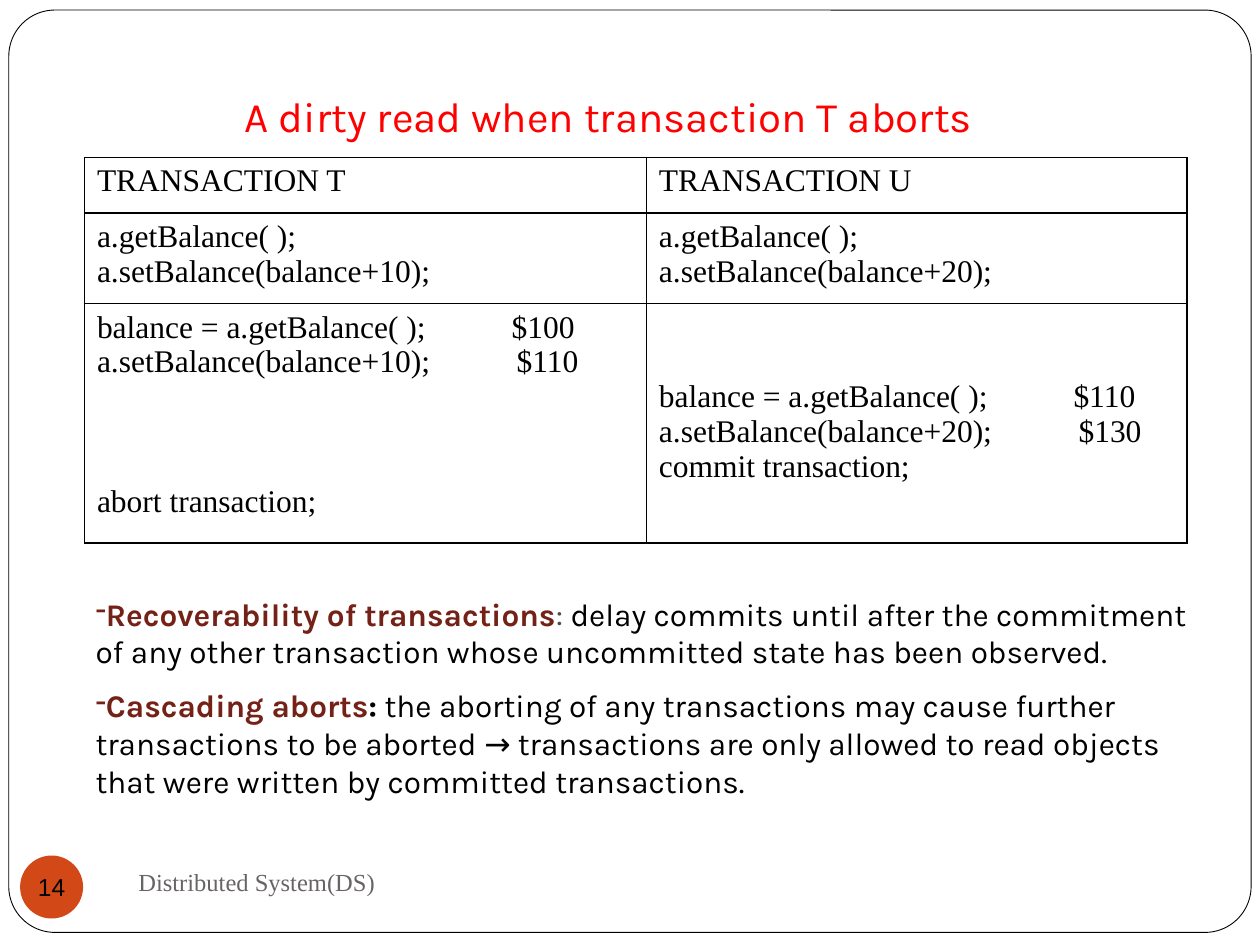
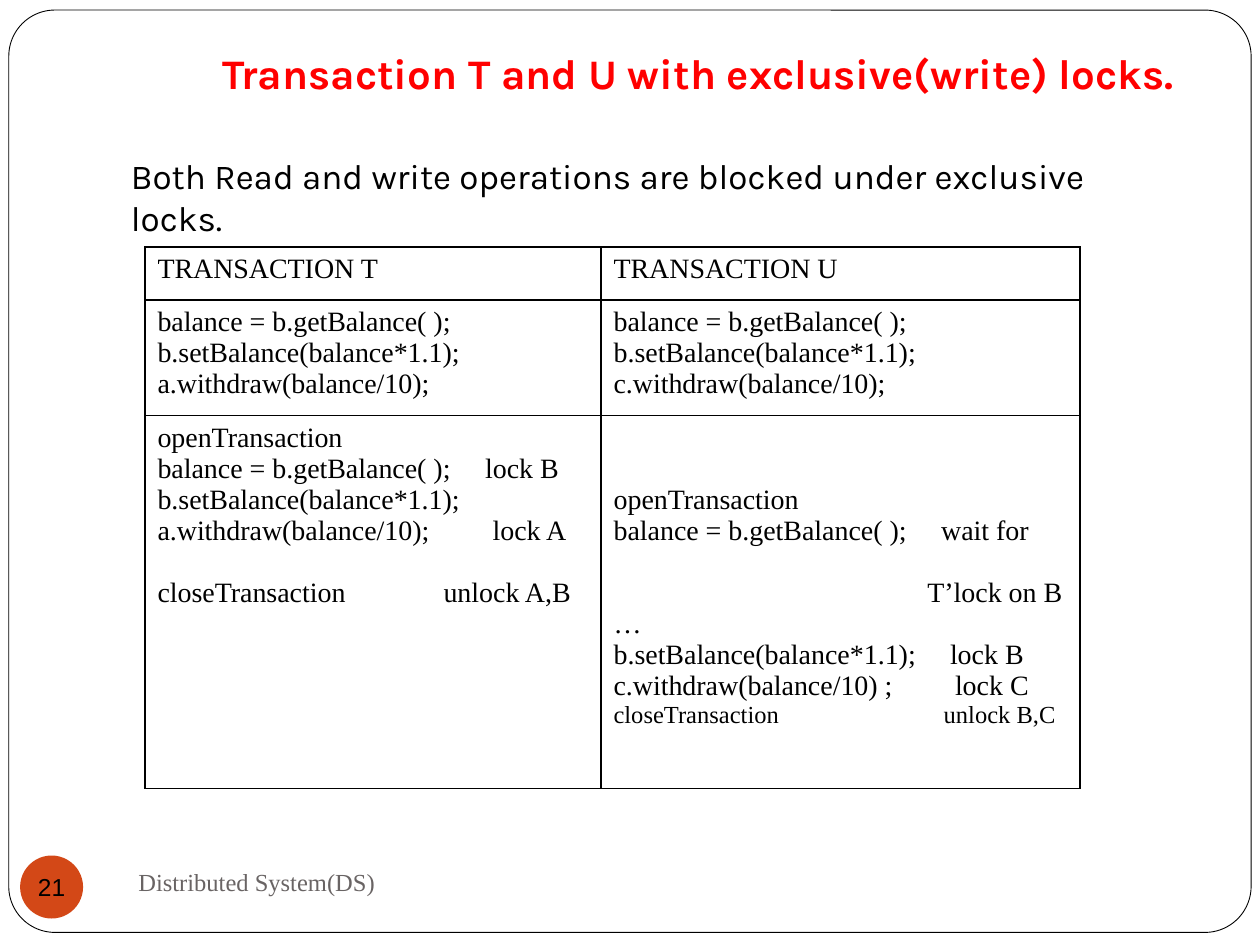
from lxml import etree
from pptx import Presentation
from pptx import util as u
from pptx.dml import color
from pptx.enum import shapes, text
from pptx.oxml import ns

EMU_PER_PX = 9144
BLACK, WHITE, RED = "000000", "FFFFFF", "FF0000"
ORANGE, BROWN, GREY, DARK = "D34817", "742217", "696464", "4F4B4B"
SANS, SERIF, ARIAL = "Karla", "Times New Roman", "Arial"
MIDDLE, CENTER = text.MSO_ANCHOR.MIDDLE, text.PP_ALIGN.CENTER


def px(n):
    return u.Emu(n * EMU_PER_PX)


def rgb(value):
    return color.RGBColor.from_string(value)


def sub(parent, tag, **attrs):
    return etree.SubElement(parent, ns.qn(tag), attrs)


class Deck:
    def __init__(self, width, height):
        self.prs = Presentation()
        self.prs.slide_width, self.prs.slide_height = px(width), px(height)
        self.s = None

    def slide(self, number):
        self.s = self.prs.slides.add_slide(self.prs.slide_layouts[6])
        frame = self.shape(shapes.MSO_SHAPE.ROUNDED_RECTANGLE, (7, 8, 986, 732), WHITE, BLACK)
        frame.adjustments[0] = 0.05
        badge = self.shape(shapes.MSO_SHAPE.OVAL, (16, 679, 50, 50), ORANGE)
        tf = badge.text_frame
        self.format(tf, dict(margin_left=0, margin_right=0, margin_top=0, margin_bottom=0,
                             word_wrap=False, vertical_anchor=MIDDLE))
        tf.paragraphs[0].alignment = CENTER
        self.run(tf.paragraphs[0], str(number), 14, ARIAL)
        self.text((100, 675, 433, 50), [[("Distributed System(DS)", GREY)]], 14, SERIF,
                  anchor=MIDDLE)

    def format(self, target, values):
        for name, value in values.items():
            setattr(target, name, value)

    def shape(self, kind, box, fill, line=None):
        sp = self.s.shapes.add_shape(kind, *map(px, box))
        sp.shadow.inherit = False
        sp.fill.solid()
        sp.fill.fore_color.rgb = rgb(fill)
        if line:
            sp.line.color.rgb = rgb(line)
            sp.line.width = u.Pt(0.5)
        else:
            sp.line.fill.background()
        return sp

    def run(self, p, words, size, font, ink=BLACK, bold=False):
        r = p.add_run()
        r.text = words
        self.format(r.font, dict(size=u.Pt(size), name=font, bold=bold))
        r.font.color.rgb = rgb(ink)

    def text(self, box, paragraphs, size, font=SANS, align=None, anchor=None, bullet=None):
        tf = self.s.shapes.add_textbox(*map(px, box)).text_frame
        self.format(tf, dict(word_wrap=True, vertical_anchor=anchor))
        for i, runs in enumerate(paragraphs):
            p = tf.add_paragraph() if i else tf.paragraphs[0]
            if bullet:
                sub(p._p.get_or_add_pPr(), "a:buChar", char=bullet)
            if i:
                p.space_before = u.Pt(size / 2)
            p.alignment = align
            for words, *style in runs:
                self.run(p, words, size, font, *style)

    def title(self, box, words, bold=False):
        self.text(box, [[(words, RED, bold)]], 24, align=CENTER)

    def table(self, left, top, cols, rows, cells, size):
        frame = self.s.shapes.add_table(len(rows), len(cols), px(left), px(top),
                                        px(sum(cols)), px(sum(rows)))
        t = frame.table
        self.format(t, dict(first_row=False, horz_banding=False))
        for col, width in zip(t.columns, cols):
            col.width = px(width)
        for i, height in enumerate(rows):
            t.rows[i].height = px(height)
            for j, lines in enumerate(cells[i]):
                self.cell(t.cell(i, j), lines, size)

    def cell(self, cell, lines, size):
        cell.fill.background()
        for i, side in enumerate("LRTB"):
            ln = etree.Element(ns.qn(f"a:ln{side}"), w=str(u.Pt(1)))
            sub(sub(ln, "a:solidFill"), "a:srgbClr", val=BLACK)
            cell._tc.get_or_add_tcPr().insert(i, ln)
        tf = cell.text_frame
        for i, entry in enumerate(lines):
            line = entry if isinstance(entry, dict) else dict(words=entry)
            p = tf.add_paragraph() if i else tf.paragraphs[0]
            if "tab" in line:
                tabs = sub(p._p.get_or_add_pPr(), "a:tabLst")
                sub(tabs, "a:tab", pos=str(px(line["tab"])), algn="l")
            skip = u.Pt(line.get("skip", 0) * size * 1.11)
            if i and skip:
                p.space_before = skip
            elif skip:
                cell.margin_top = px(5) + skip
            self.run(p, line["words"], line.get("size", size), SERIF)


def noted(words, note, tab, **extra):
    return dict(words=f"{words}\t{note}", tab=tab, **extra)


def after(skip, words):
    return dict(words=words, skip=skip)


def dirty_read(d):
    d.slide(14)
    read = "balance = a.getBalance( );"
    write = "a.setBalance(balance+{});"
    d.table(67, 125, (446, 429), (44, 72, 190), [
        [["TRANSACTION T"], ["TRANSACTION U"]],
        [["a.getBalance( );", write.format(n)] for n in (10, 20)],
        [[noted(read, "$100", 329),
          noted(write.format(10), "$110", 333),
          after(3, "abort transaction;")],
         [noted(read, "$110", 329, skip=2),
          noted(write.format(20), "$130", 333),
          "commit transaction;"]],
    ], 18)
    d.title((108, 67, 750, 50), "A dirty read when transaction T aborts")
    d.text((66, 467, 901, 177), [
        [("Recoverability of transactions", BROWN, True), (":", DARK),
         (" delay commits until after the commitment of any other transaction "
          "whose uncommitted state has been observed.",)],
        [("Cascading aborts", BROWN, True), (":", BLACK, True),
         (" the aborting of any transactions may cause further transactions to be "
          "aborted → transactions are only allowed to read objects that were "
          "written by committed transactions.",)],
    ], 18, bullet="-")


def exclusive_locks(d):
    d.slide(21)
    read = "balance = b.getBalance( );"
    write = "b.setBalance(balance*1.1);"
    d.table(115, 196, (362, 380), (42, 92, 296), [
        [["TRANSACTION T"], ["TRANSACTION U"]],
        [[read, write, f"{account}.withdraw(balance/10);"] for account in "ac"],
        [["openTransaction",
          noted(read, "lock B", 260),
          write,
          noted("a.withdraw(balance/10);", "lock A", 266),
          noted("closeTransaction", "unlock A,B", 227, skip=1)],
         [after(2, "openTransaction"),
          noted(read, "wait for", 260),
          noted("", "T’lock on B", 249, skip=1),
          "…",
          noted(write, "lock B", 267),
          noted("c.withdraw(balance/10) ;", "lock C", 271),
          noted("closeTransaction", "unlock B,C", 262, size=14)]],
    ], 16)
    d.title((108, 33, 892, 51), "Transaction T and U with exclusive(write) locks.", True)
    d.text((94, 118, 783, 77), [
        [("Both Read and write operations are blocked under exclusive locks.",)],
    ], 20)


def main():
    d = Deck(1000, 750)
    dirty_read(d)
    exclusive_locks(d)
    d.prs.save("out.pptx")


if __name__ == "__main__":
    main()
